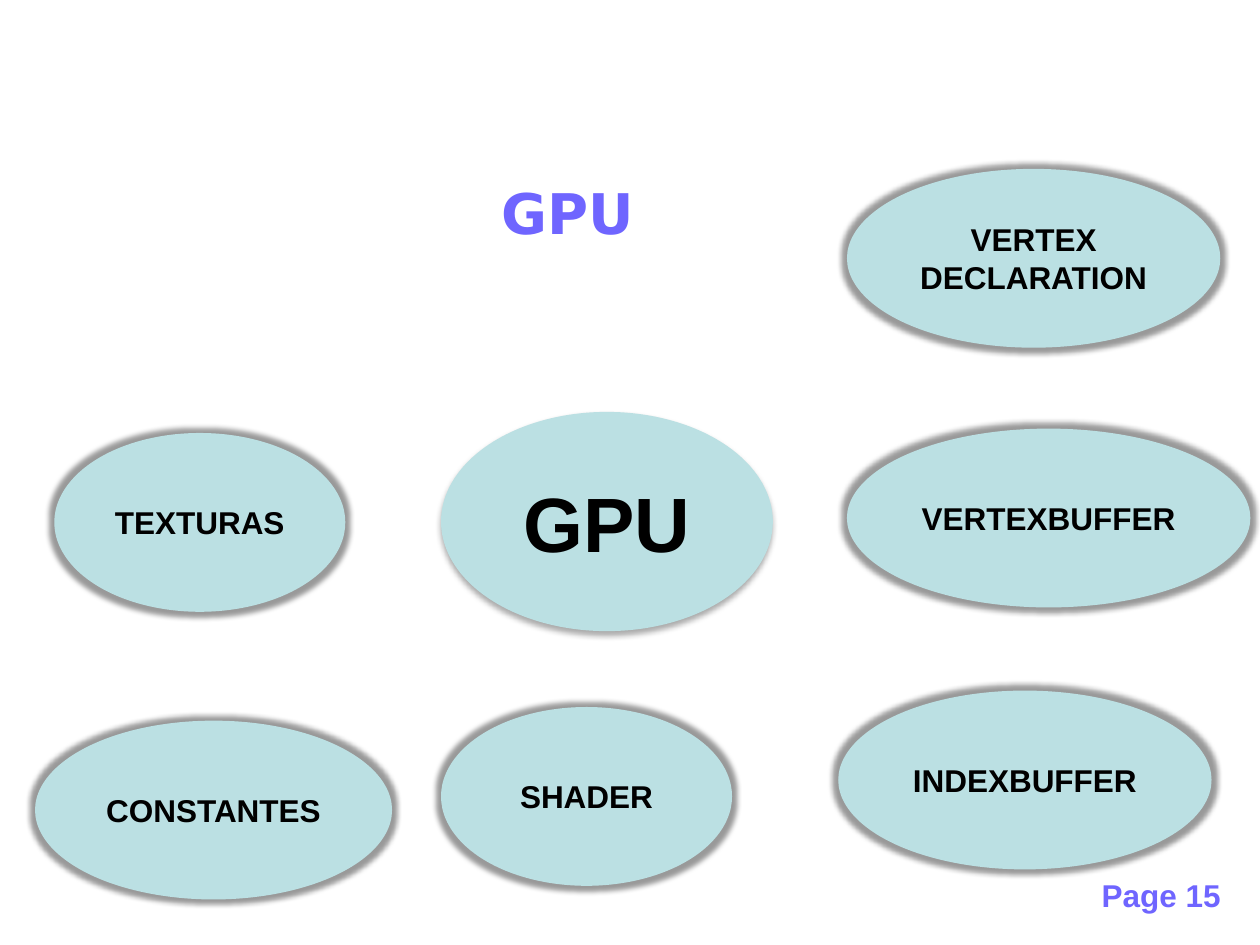
from dataclasses import dataclass

from lxml import etree
from pptx import Presentation
from pptx.dml.color import RGBColor
from pptx.enum import shapes, text
from pptx.oxml import ns
from pptx.util import Pt


@dataclass(frozen=True)
class Theme:
    accent: RGBColor = RGBColor(0x6F, 0x65, 0xFF)
    bubble: RGBColor = RGBColor(0xBB, 0xE0, 0xE3)
    ink: RGBColor = RGBColor(0, 0, 0)
    body: int = 18
    title: int = 32
    core: int = 44
    font: str = "Arial"
    title_font: str = "DejaVu Sans"


THEME = Theme()
A = ns.nsdecls("a")
OUTLINE = f'<a:ln {A} w="9000"><a:solidFill><a:srgbClr val="000000"/></a:solidFill></a:ln>'
DROP = (f'<a:effectLst {A}><a:outerShdw blurRad="44450" dist="27940" dir="5400000" algn="ctr" '
        'rotWithShape="0"><a:srgbClr val="000000"><a:alpha val="32000"/></a:srgbClr>'
        '</a:outerShdw></a:effectLst>')
HALO = (f'<a:effectLst {A}><a:glow rad="76200"><a:srgbClr val="000000">'
        '<a:alpha val="40000"/></a:srgbClr></a:glow></a:effectLst>')


def write(shape, words, size=THEME.body, font=THEME.font, color=THEME.ink,
          align=text.PP_ALIGN.CENTER, outlined=False):
    paragraph = shape.text_frame.paragraphs[0]
    paragraph.alignment = align
    run = paragraph.add_run()
    run.text = words
    run.font.size, run.font.name, run.font.bold = Pt(size), font, True
    run.font.color.rgb = color
    if outlined:
        run._r.get_or_add_rPr().insert(0, etree.fromstring(OUTLINE))


deck = Presentation()
deck.slide_width, deck.slide_height = Pt(720), Pt(540)
slide = deck.slides.add_slide(deck.slide_layouts[6])

labels = [
    ("Page 15", (621.4, 496.8, 84.2, 28.8), THEME.body, THEME.font, text.PP_ALIGN.CENTER),
    ("GPU", (279.4, 98.6, 90.7, 67.7), THEME.title, THEME.title_font, text.PP_ALIGN.LEFT),
]
for words, place, size, font, align in labels:
    label = slide.shapes.add_textbox(*map(Pt, place))
    label.text_frame.word_wrap = False
    label.text_frame.auto_size = text.MSO_AUTO_SIZE.SHAPE_TO_FIT_TEXT
    write(label, words, size, font, THEME.accent, align)

SATELLITE_HEIGHT = 102.2
bubbles = [  # words, left, top, width, height, size, effect
    ("GPU", 252, 235.4, 189.6, 125.3, THEME.core, DROP),
] + [
    (words, left, top, width, SATELLITE_HEIGHT, THEME.body, HALO)
    for words, left, top, width in [
        ("TEXTURAS", 31, 247.4, 166.3),
        ("CONSTANTES", 20, 411.8, 204),
        ("SHADER", 252, 404, 166.3),
        ("INDEXBUFFER", 479, 394.6, 213.3),
        ("VERTEXBUFFER", 484, 244.9, 230.5),
        ("VERTEX DECLARATION", 484, 96.5, 213.3),
    ]
]
for words, left, top, width, height, size, effect in bubbles:
    bubble = slide.shapes.add_shape(shapes.MSO_SHAPE.OVAL, Pt(left), Pt(top), Pt(width), Pt(height))
    bubble.fill.solid()
    bubble.fill.fore_color.rgb = THEME.bubble
    bubble.line.fill.background()
    bubble._element.spPr.append(etree.fromstring(effect))
    bubble.text_frame.word_wrap = True
    bubble.text_frame.vertical_anchor = text.MSO_ANCHOR.MIDDLE
    write(bubble, words, size, outlined=True)

deck.save("out.pptx")
